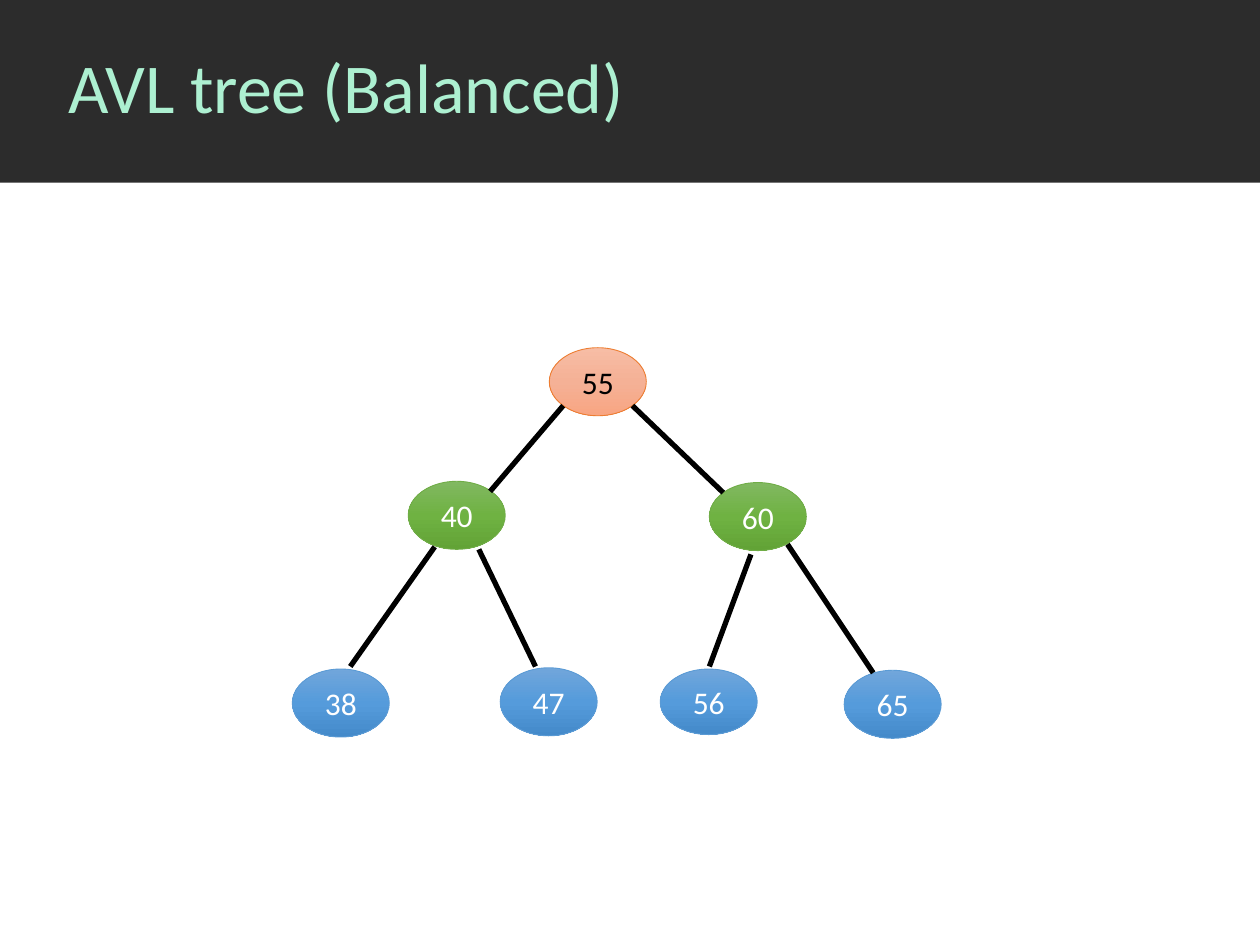
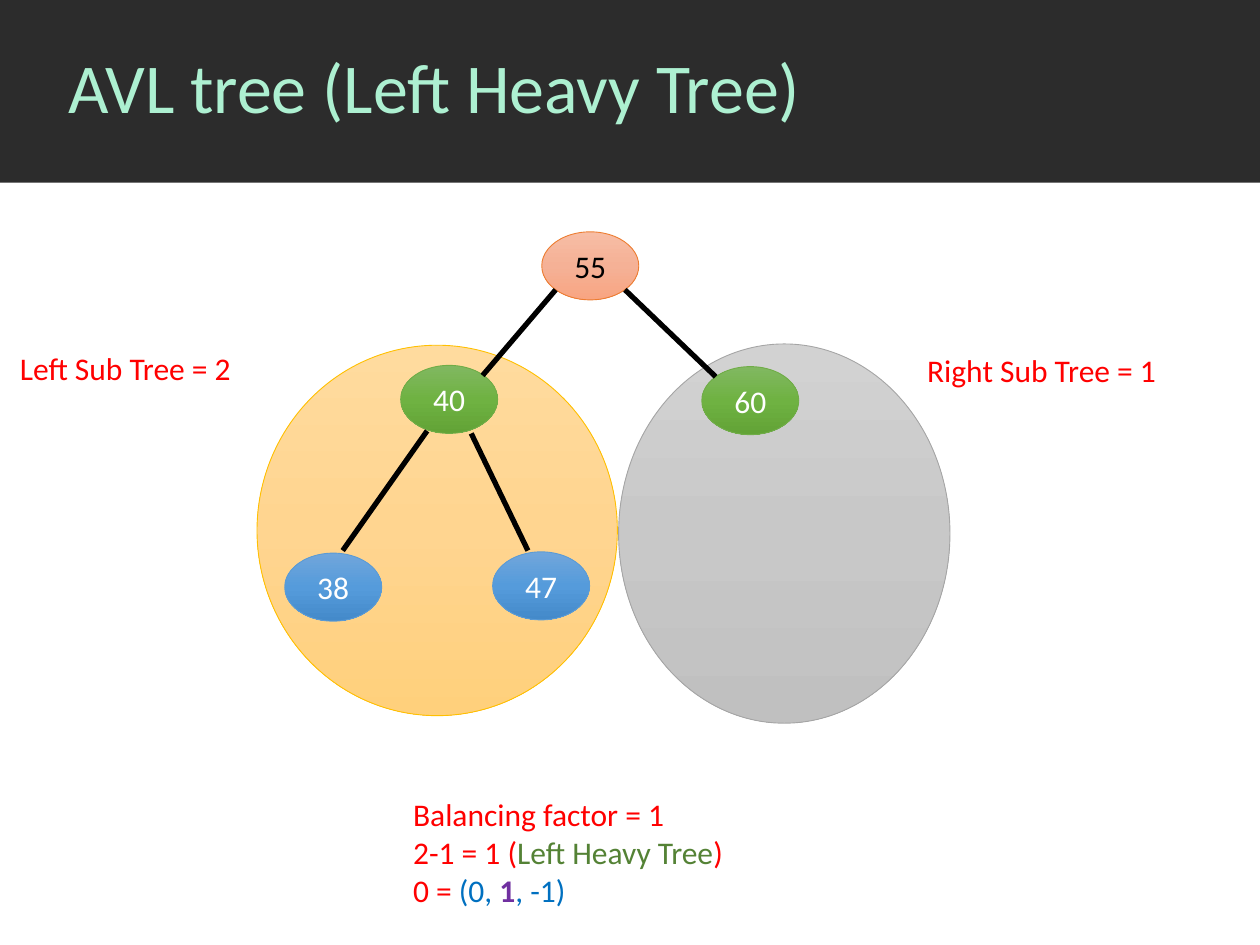
from copy import deepcopy
from pptx import Presentation
from pptx.dml.color import RGBColor
from pptx.enum.shapes import MSO_CONNECTOR, MSO_SHAPE
from pptx.enum.text import MSO_ANCHOR, MSO_AUTO_SIZE, PP_ALIGN
from pptx.oxml import parse_xml
from pptx.oxml.ns import nsdecls, qn
from pptx.util import Inches, Pt

FONT = "Calibri"
BLACK, WHITE, RED, BLUE = "000000", "FFFFFF", "FF0000", "0070C0"
PEACH = (["F7BDA5", "F5B196", "F8A582"], "ED7D31")
GREEN = (["81B861", "6FB242", "62A336"], "70AD47")
SKY = (["71A6DB", "559BDB", "448ACA"], "5B9BD5")
GREY = (["D2D2D2", "C8C8C8", "C0C0C0"], "A5A5A5")
GOLD = (["FFDB9E", "FFD590", "FFD07C"], "FFC000")
LEVELS = [(PEACH, BLACK), (GREEN, WHITE), (SKY, WHITE)]

# value: level, left, top, height
NODES = {
    55: (0, 4.36, 2.76, 0.54),
    56: (2, 5.24, 5.31, 0.52),
    47: (2, 3.97, 5.3, 0.54),
    38: (2, 2.32, 5.31, 0.54),
    60: (1, 5.63, 3.83, 0.54),
    40: (1, 3.24, 3.82, 0.54),
    65: (2, 6.7, 5.32, 0.54),
}
LINKS = {
    40: (4.47, 3.22, 3.89, 3.9),
    65: (6.25, 4.32, 6.93, 5.34),
    47: (3.8, 4.36, 4.25, 5.29),
    60: (5.02, 3.22, 5.74, 3.91),
    38: (3.45, 4.34, 2.78, 5.29),
    56: (5.96, 4.4, 5.63, 5.29),
}


def tint(code):
    return RGBColor.from_string(code)


class Deck:
    def __init__(self):
        self.prs = Presentation()
        self.prs.slide_width, self.prs.slide_height = Inches(10), Inches(7.5)
        self.layout = self.prs.slide_layouts[5]
        self.slide = None

    def page(self, title):
        first = self.slide is None
        self.slide = self.prs.slides.add_slide(self.layout)
        if first:
            self.band()
        head = self.slide.shapes.title
        head.left, head.top = Inches(0.44), Inches(0)
        head.width, head.height = Inches(9.56), Inches(1.44)
        frame = head.text_frame
        frame.text = title
        frame.vertical_anchor = MSO_ANCHOR.MIDDLE
        line = frame.paragraphs[0]
        line.alignment, line.line_spacing = PP_ALIGN.LEFT, 0.9
        self.style(line.runs[0], "ADF0D1", 40)

    def band(self):
        bar = self.shape(MSO_SHAPE.RECTANGLE, 0, 0, 10, 1.45)
        bar.fill.solid()
        bar.fill.fore_color.rgb = tint("2C2C2C")
        bar.line.fill.background()
        self.layout.shapes.element.insert(2, bar.element)

    def style(self, run, color, size=18, bold=False):
        font = run.font
        font.name, font.size, font.bold = FONT, Pt(size), bold
        font.color.rgb = tint(color)

    def shape(self, kind, left, top, width, height):
        item = self.slide.shapes.add_shape(
            kind, Inches(left), Inches(top), Inches(width), Inches(height))
        item.shadow.inherit = False
        return item

    def oval(self, left, top, width, height, theme):
        shades, edge = theme
        item = self.shape(MSO_SHAPE.OVAL, left, top, width, height)
        item.fill.gradient()
        item.fill.gradient_angle = 270
        start = item.element.spPr.find(".//" + qn("a:gs"))
        start.addnext(deepcopy(start))
        for stop, place, shade in zip(item.fill.gradient_stops, (0, 0.5, 1), shades):
            stop.position = place
            stop.color.rgb = tint(shade)
        item.line.color.rgb = tint(edge)
        item.line.width = Pt(0.5)
        return item

    def node(self, value, dx, dy):
        level, left, top, height = NODES[value]
        theme, ink = LEVELS[level]
        frame = self.oval(left + dx, top + dy, 0.77, height, theme).text_frame
        frame.text = str(value)
        frame.vertical_anchor = MSO_ANCHOR.MIDDLE
        frame.paragraphs[0].alignment = PP_ALIGN.CENTER
        self.style(frame.paragraphs[0].runs[0], ink)

    def link(self, x1, y1, x2, y2):
        edge = self.slide.shapes.add_connector(
            MSO_CONNECTOR.STRAIGHT, Inches(x1), Inches(y1), Inches(x2), Inches(y2))
        edge.line.color.rgb = tint(BLACK)
        edge.line.width = Pt(3)
        edge.element.spPr.append(parse_xml(f"<a:effectLst {nsdecls('a')}/>"))

    def tree(self, leave=(), dx=0, dy=0):
        for value in NODES:
            if value not in leave:
                self.node(value, dx, dy)
        for value, (x1, y1, x2, y2) in LINKS.items():
            if value not in leave:
                self.link(x1 + dx, y1 + dy, x2 + dx, y2 + dy)

    def note(self, left, top, width, height, lines):
        box = self.slide.shapes.add_textbox(
            Inches(left), Inches(top), Inches(width), Inches(height))
        frame = box.text_frame
        frame.word_wrap = True
        frame.auto_size = MSO_AUTO_SIZE.SHAPE_TO_FIT_TEXT
        frame.text = "\n".join("" for _ in lines)
        for line, parts in zip(frame.paragraphs, lines):
            for text, color, bold in parts:
                run = line.add_run()
                run.text = text
                self.style(run, color, bold=bold)


def main():
    deck = Deck()
    deck.page("AVL tree (Balanced)")
    deck.tree()

    deck.page("AVL tree (Left Heavy Tree)")
    deck.oval(4.91, 2.73, 2.63, 3.01, GREY)
    deck.oval(2.04, 2.74, 2.86, 2.94, GOLD)
    deck.tree(leave=(56, 65), dx=-0.06, dy=-0.92)
    deck.note(7.26, 2.74, 2.32, 0.4, [[("Right Sub Tree = 1", RED, False)]])
    deck.note(3.18, 6.26, 3.15, 1.01, [
        [("Balancing factor = 1", RED, False)],
        [("2-1 = 1 (", RED, False), ("Left Heavy Tree", "548235", False),
         (")", RED, False)],
        [("0 = ", RED, False), ("(0, ", BLUE, False), ("1", "7030A0", True),
         (", -1)", BLUE, False)],
    ])
    deck.note(0.06, 2.72, 2.2, 0.4, [[("Left Sub Tree = 2", RED, False)]])
    deck.prs.save("out.pptx")


if __name__ == "__main__":
    main()
